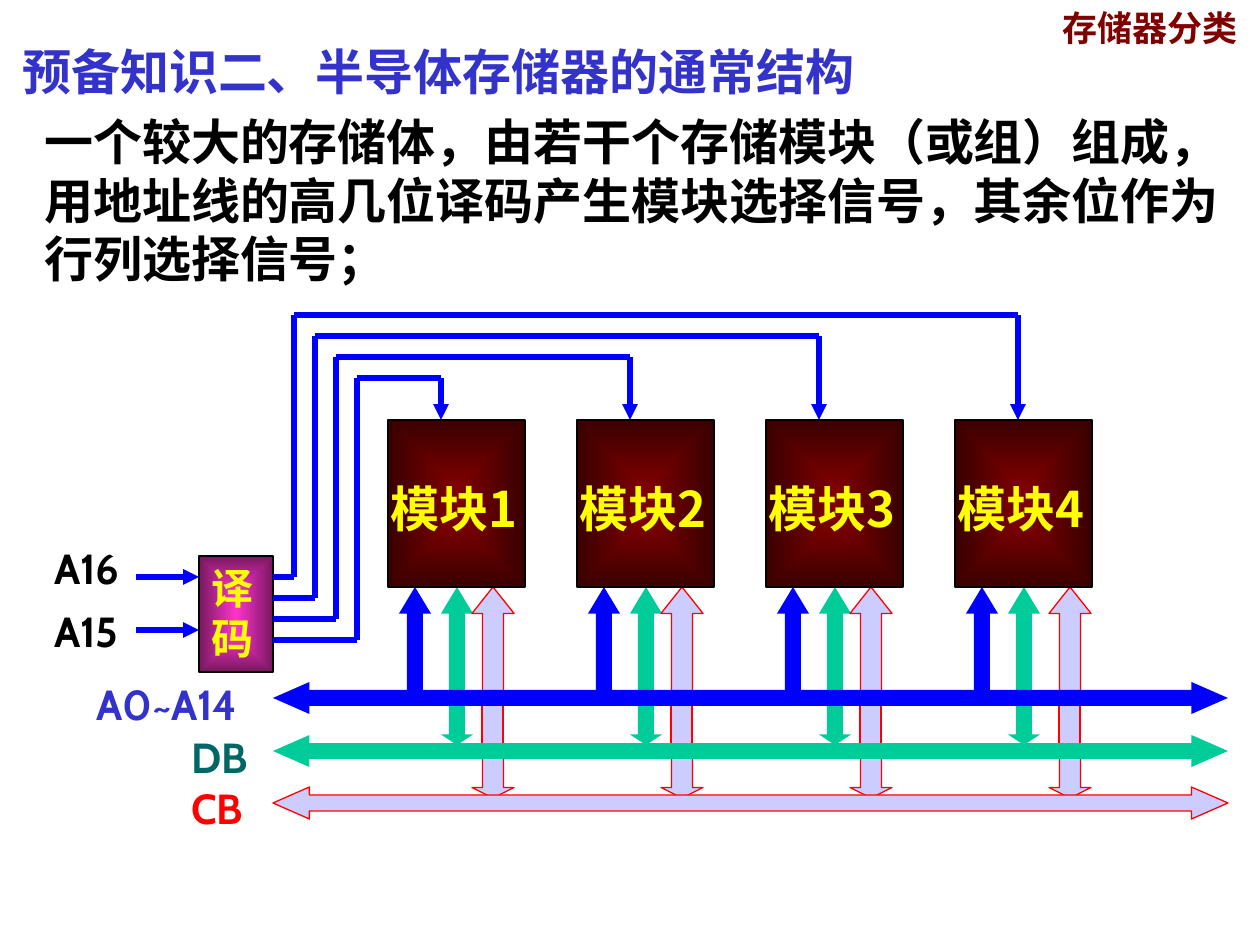
from itertools import pairwise

from pptx import Presentation
from pptx.dml.color import RGBColor
from pptx.enum.shapes import MSO_CONNECTOR, MSO_SHAPE as Shape
from pptx.enum.text import MSO_ANCHOR, MSO_AUTO_SIZE, PP_ALIGN
from pptx.oxml import parse_xml
from pptx.oxml.ns import nsdecls
from pptx.oxml.xmlchemy import OxmlElement
from pptx.util import Pt

PX = 914400 / 126
HAN, LATIN = "Noto Sans CJK SC", "Cabin"

BLACK = RGBColor(0x00, 0x00, 0x00)
MAROON = RGBColor(0x80, 0x00, 0x00)
DARK_MAROON = RGBColor(0x3B, 0x00, 0x00)
PINK = RGBColor(0xFF, 0x33, 0xCC)
DARK_PINK = RGBColor(0x76, 0x18, 0x5E)
INDIGO = RGBColor(0x33, 0x33, 0xCC)
TEAL = RGBColor(0x00, 0x66, 0x66)
YELLOW = RGBColor(0xFF, 0xFF, 0x00)
BLUE = RGBColor(0x00, 0x00, 0xFF)
GREEN = RGBColor(0x00, 0xCC, 0x99)
LILAC = RGBColor(0xCC, 0xCC, 0xFF)
RED = RGBColor(0xFF, 0x00, 0x00)

# Content
TOPIC = "存储器分类"
HEADING = "预备知识二、半导体存储器的通常结构"
SUMMARY = ("一个较大的存储体，由若干个存储模块（或组）组成，"
           "用地址线的高几位译码产生模块选择信号，其余位作为行列选择信号；")
DECODER = "译码"
MODULES = ["模块1", "模块2", "模块3", "模块4"]
DECODER_INPUTS = [("A16", 536, 577), ("A15", 599, 630)]  # label top, arrow y
BUSES = [  # label, label left, top, width, label colour, bus top, fill, outline
    ("A0~A14", 84, 672, 199, INDIGO, 682, BLUE, None),
    ("DB", 179, 725, 95, TEAL, 735, GREEN, None),
    ("CB", 179, 776, 95, RED, 787, LILAC, RED),
]

# Layout in px
MODULE_LEFT, MODULE_TOP, MODULE_PITCH = 388, 420, 189
MODULE_W, MODULE_H = 137, 167
MODULE_BOTTOM = MODULE_TOP + MODULE_H
DECODER_LEFT, DECODER_TOP, DECODER_W, DECODER_H = 199, 556, 74, 116
DECODER_RIGHT = DECODER_LEFT + DECODER_W
WIRE_STEP = 21
lefts = [MODULE_LEFT + i * MODULE_PITCH for i in range(len(MODULES))]
# The last module's control arrow and select wire sit 10 px further right
nudges = [0] * (len(MODULES) - 1) + [10]

prs = Presentation()
prs.slide_width, prs.slide_height = round(1260 * PX), round(945 * PX)
slide = prs.slides.add_slide(prs.slide_layouts[5])


def emu(*lengths):
    return [round(length * PX) for length in lengths]


def write(holder, text, size, font, color, line_spacing=None):
    frame = holder.text_frame
    frame.word_wrap = True
    frame.auto_size = MSO_AUTO_SIZE.NONE
    frame.vertical_anchor = MSO_ANCHOR.TOP
    paragraph = frame.paragraphs[0]
    paragraph.alignment = PP_ALIGN.LEFT
    if line_spacing:
        paragraph.line_spacing = line_spacing
    run = paragraph.add_run()
    run.text = text
    run.font.size, run.font.bold, run.font.name = Pt(size), True, font
    run.font.color.rgb = color


def label(text, x, y, w, h, size, font, color, line_spacing=None):
    write(slide.shapes.add_textbox(*emu(x, y, w, h)),
          text, size, font, color, line_spacing)


def block(kind, x, y, w, h, fill, outline=None, adjust=()):
    shape = slide.shapes.add_shape(kind, *emu(x, y, w, h))
    shape.shadow.inherit = False
    for i, value in enumerate(adjust):
        shape.adjustments[i] = value
    if isinstance(fill, list):  # glow from the centre to the edge
        shape.fill.gradient()
        for stop, color in zip(shape.fill.gradient_stops, fill):
            stop.color.rgb = color
        linear = shape._element.spPr.find(".//{*}lin")
        linear.getparent().replace(linear, parse_xml(
            f'<a:path {nsdecls("a")} path="rect"><a:fillToRect '
            'l="50000" t="50000" r="50000" b="50000"/></a:path>'))
    else:
        shape.fill.solid()
        shape.fill.fore_color.rgb = fill
    if outline is None:
        shape.line.fill.background()
    else:
        shape.line.color.rgb = outline
        shape.line.width = Pt(0.75)


def wire(points):
    """Draw straight segments through the points, with a head on the last."""
    for start, end in pairwise(points):
        segment = slide.shapes.add_connector(
            MSO_CONNECTOR.STRAIGHT, *emu(*start, *end))
        segment.line.color.rgb = BLUE
        segment.line.width = Pt(3)
        segment._element.spPr.append(OxmlElement("a:effectLst"))
    head = OxmlElement("a:tailEnd")
    head.set("type", "triangle")
    segment._element.spPr.find("{*}ln").append(head)


# Title, heading and summary
title = slide.shapes.title
title.left, title.top, title.width, title.height = emu(1050, 0, 231, 53)
write(title, TOPIC, 20, HAN, MAROON)
label(SUMMARY, 32, 105, 1207, 189, 28, LATIN, BLACK)
label(HEADING, 10, 29, 1135, 78, 28, HAN, INDIGO, 1.1)

# Data and control arrows between modules and buses
for left, nudge in zip(lefts, nudges):
    data, control = left + 53, left + 84 + nudge
    block(Shape.UP_ARROW, data, MODULE_BOTTOM, 32, 105, GREEN, None, (0.5, 0.83))
    block(Shape.DOWN_ARROW, data, 703, 32, 42, GREEN, None, (0.5, 0.33))
    block(Shape.DOWN_ARROW, control, 756, 42, 42, LILAC, RED, (0.5, 0.25))
    block(Shape.RECTANGLE, control + 10, 703, 21, 42, LILAC, RED)
    block(Shape.UP_ARROW, control, MODULE_BOTTOM, 42, 105, LILAC, RED, (0.5, 0.63))

# Modules, buses and decoder
for left in lefts:
    block(Shape.RECTANGLE, left, MODULE_TOP, MODULE_W, MODULE_H,
          [MAROON, DARK_MAROON], BLACK)
for name, x, y, w, color, top, fill, outline in BUSES:
    block(Shape.LEFT_RIGHT_ARROW, DECODER_RIGHT, top, 955, 32, fill, outline,
          (0.5, 1.14))
    label(name, x, y, w, 63, 24, LATIN, color)
block(Shape.RECTANGLE, DECODER_LEFT, DECODER_TOP, DECODER_W, DECODER_H,
      [PINK, DARK_PINK], BLACK)
label(DECODER, DECODER_LEFT, DECODER_TOP, DECODER_W, 113, 24, LATIN, YELLOW)

# Decoder inputs
for name, top, y in DECODER_INPUTS:
    wire([(136, y), (DECODER_LEFT, y)])
    label(name, 42, top, 126, 63, 24, LATIN, BLACK)

# Select wires, outermost first, to the modules from right to left
for i, (left, nudge) in enumerate(zip(lefts[::-1], nudges[::-1])):
    exit_y, bend_x, top = (start + i * WIRE_STEP for start in (577, 294, 315))
    target = left + 53 + nudge
    wire([(DECODER_RIGHT, exit_y), (bend_x, exit_y), (bend_x, top),
          (target, top), (target, MODULE_TOP)])

# Address arrows and module names
for left, name in zip(lefts, MODULES):
    block(Shape.UP_ARROW, left + 11, MODULE_BOTTOM, 32, 105, BLUE, None, (0.5, 0.83))
    label(name, left - 10, 472, 157, 131, 28, HAN, YELLOW)

prs.save("out.pptx")
